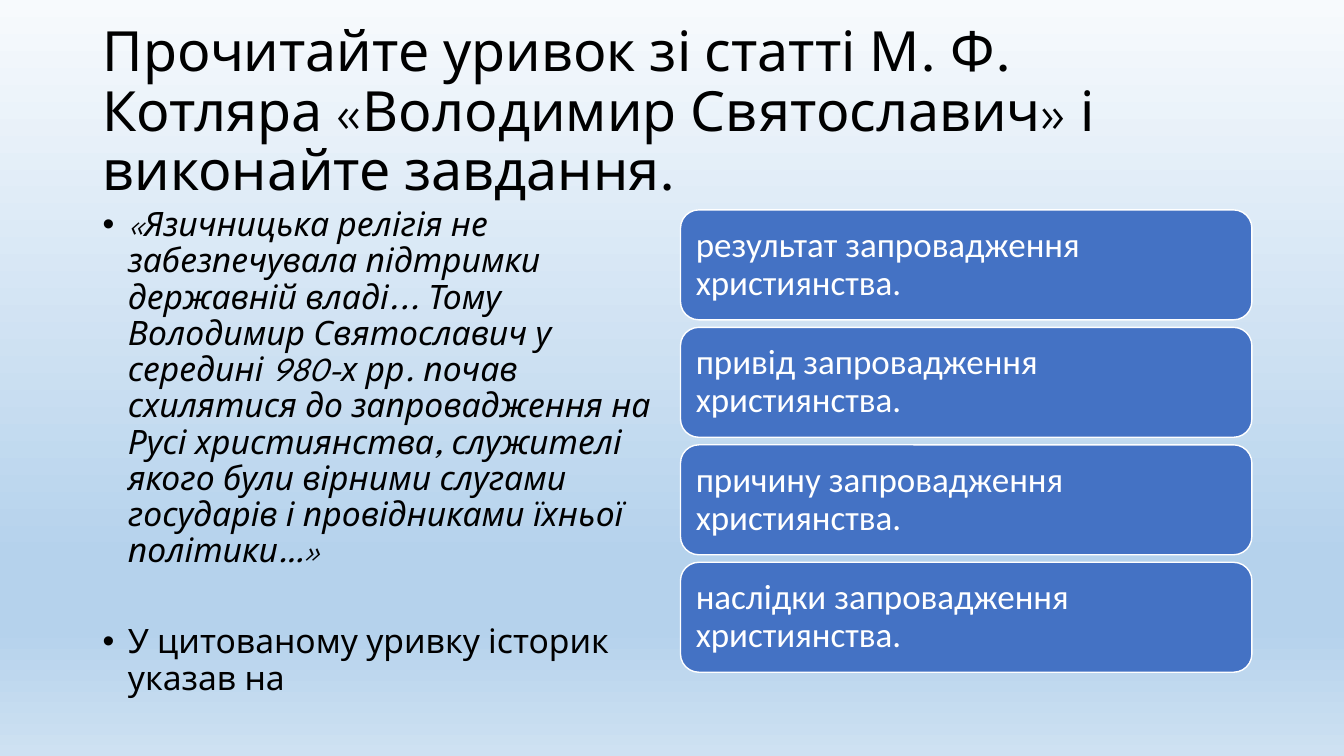
from lxml import etree
from pptx import Presentation
from pptx import util as u
from pptx.dml.color import RGBColor
from pptx.enum import shapes, text
from pptx.oxml import parse_xml
from pptx.oxml.ns import nsdecls, qn

BLACK = RGBColor(0x00, 0x00, 0x00)
WHITE = RGBColor(0xFF, 0xFF, 0xFF)
BLUE = RGBColor(0x44, 0x72, 0xC4)
SKY_STOPS = [(0, RGBColor(0xF7, 0xFA, 0xFD)), (74, RGBColor(0xB5, 0xD2, 0xEC)),
             (83, RGBColor(0xB5, 0xD2, 0xEC)), (100, RGBColor(0xCE, 0xE1, 0xF2))]

TITLE = "Прочитайте уривок зі статті М. Ф. Котляра «Володимир Святославич» і виконайте завдання."
QUOTE = ("«Язичницька релігія не забезпечувала підтримки державній владі... "
         "Тому Володимир Святославич у середині 980-х рр. почав схилятися до "
         "запровадження на Русі християнства, служителі якого були вірними "
         "слугами государів і провідниками їхньої політики…»")
QUESTION = "У цитованому уривку історик указав на"
ANSWERS = ["результат", "привід", "причину", "наслідки"]


def write(p, content, font="League Spartan", size=24, color=BLACK,
          italic=False, before=0, bullet=False):
    """Fill one paragraph with formatted text."""
    p.alignment = text.PP_ALIGN.LEFT
    p.line_spacing = 0.9
    p.space_before = u.Pt(before)
    if bullet:
        pPr = p._p.get_or_add_pPr()
        pPr.set("marL", str(u.Cm(0.64)))
        pPr.set("indent", str(u.Cm(-0.64)))
        etree.SubElement(pPr, qn("a:buFont")).set("typeface", "Arial")
        etree.SubElement(pPr, qn("a:buChar")).set("char", "•")
    r = p.add_run()
    r.text = content
    r.font.name, r.font.size = font, u.Pt(size)
    r.font.color.rgb = color
    r.font.bold, r.font.italic = False, italic


class Deck:
    """Holds the presentation and its current slide."""

    def __init__(self, width, height):
        self.prs = Presentation()
        self.prs.slide_width, self.prs.slide_height = u.Cm(width), u.Cm(height)
        self.s = self.prs.slides.add_slide(self.prs.slide_layouts[1])

    def background(self, stops):
        self.s.background.fill.gradient()
        grad = self.s.background._cSld.find(".//" + qn("a:gradFill"))
        gs = "".join(f'<a:gs pos="{pos * 1000}"><a:srgbClr val="{color}"/></a:gs>'
                     for pos, color in stops)
        grad.getparent().replace(grad, parse_xml(
            f'<a:gradFill {nsdecls("a")} rotWithShape="1"><a:gsLst>{gs}</a:gsLst>'
            '<a:lin ang="5400000" scaled="0"/></a:gradFill>'))

    def placeholder(self, idx, box, anchor):
        sp = self.s.placeholders[idx]
        sp.left, sp.top, sp.width, sp.height = map(u.Cm, box)
        tf = sp.text_frame
        tf.word_wrap = True
        tf.auto_size = text.MSO_AUTO_SIZE.NONE
        tf.vertical_anchor = anchor
        return tf

    def title(self, content, box):
        tf = self.placeholder(0, box, text.MSO_ANCHOR.MIDDLE)
        write(tf.paragraphs[0], content, size=39.6)

    def bullets(self, items, box):
        tf = self.placeholder(1, box, text.MSO_ANCHOR.TOP)
        for i, (content, fmt) in enumerate(items):
            p = tf.add_paragraph() if i else tf.paragraphs[0]
            write(p, content, bullet=True, **fmt)

    def card(self, content, box):
        sp = self.s.shapes.add_shape(shapes.MSO_SHAPE.ROUNDED_RECTANGLE, *map(u.Cm, box))
        sp.shadow.inherit = False
        sp.fill.solid()
        sp.fill.fore_color.rgb = BLUE
        sp.line.color.rgb = WHITE
        sp.line.width = u.Pt(1)
        tf = sp.text_frame
        tf.word_wrap = True
        tf.vertical_anchor = text.MSO_ANCHOR.MIDDLE
        tf.margin_left = tf.margin_right = tf.margin_top = tf.margin_bottom = u.Cm(0.25)
        write(tf.paragraphs[0], content, font="Calibri", size=25, color=WHITE)


def main():
    deck = Deck(33.87, 19.05)
    deck.background(SKY_STOPS)

    # Heading and quotation
    deck.title(TITLE, (2.33, 1.01, 29.21, 3.68))
    deck.bullets([(QUOTE, {"italic": True}), (QUESTION, {"before": 39})],
                 (2.33, 5.1, 14.4, 12.09))

    # Answer cards, evenly stacked
    for i, answer in enumerate(ANSWERS):
        deck.card(f"{answer} запровадження християнства.",
                  (17.15, 5.29 + i * 2.96, 14.4, 2.77))

    deck.prs.save("out.pptx")


if __name__ == "__main__":
    main()
